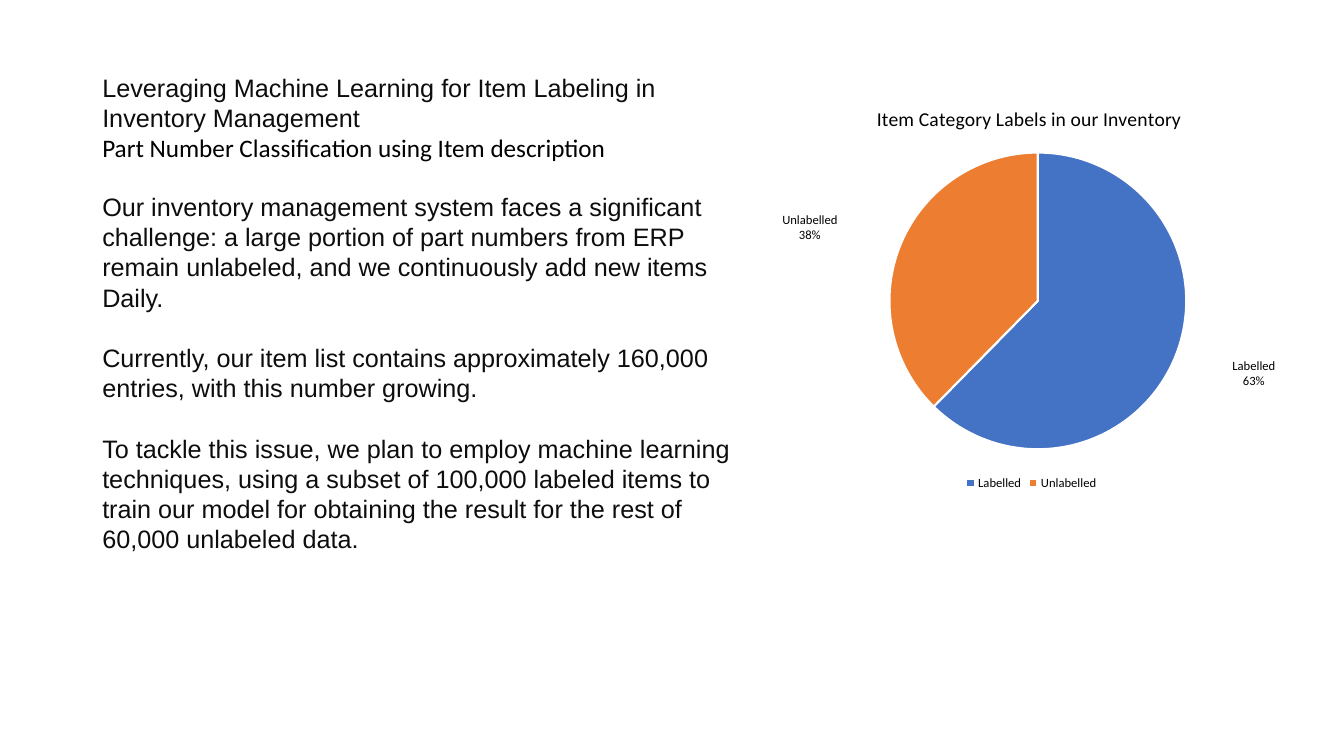
from dataclasses import dataclass

from lxml.etree import SubElement
from pptx import Presentation
from pptx.chart.data import CategoryChartData
from pptx.dml.color import RGBColor
from pptx.enum.chart import XL_CHART_TYPE, XL_LABEL_POSITION, XL_LEGEND_POSITION
from pptx.oxml.ns import qn
from pptx.util import Inches, Pt


@dataclass(frozen=True)
class Theme:
    ink: RGBColor = RGBColor(0x0D, 0x0D, 0x0D)
    black: RGBColor = RGBColor(0, 0, 0)
    white: RGBColor = RGBColor(0xFF, 0xFF, 0xFF)
    blue: RGBColor = RGBColor(0x44, 0x72, 0xC4)
    orange: RGBColor = RGBColor(0xED, 0x7D, 0x31)
    body_font: str = "Arial"
    chart_font: str = "Calibri"
    body_size: Pt = Pt(18)
    title_size: Pt = Pt(14)
    chart_size: Pt = Pt(10)
    label_size: Pt = Pt(9)
    line_height: Pt = Pt(21.6)


@dataclass(frozen=True)
class Area:
    """A rectangle in shares of the width and height around it."""
    left: float
    top: float
    width: float
    height: float


@dataclass(frozen=True)
class Line:
    text: str
    font: str
    color: RGBColor


@dataclass(frozen=True)
class TextBlock:
    area: Area
    lines: tuple[Line, ...]
    gap: Pt


@dataclass(frozen=True)
class Slice:
    name: str
    percent: int
    color: RGBColor
    label_shift: float  # share of the chart's width


THEME = Theme()
SLIDE_WIDTH, SLIDE_HEIGHT = Inches(13.33), Inches(7.5)
TEXT_LEFT, TEXT_WIDTH = 0.0687, 0.5

HEADING = TextBlock(
    Area(TEXT_LEFT, 0.0885, TEXT_WIDTH, 0.135),
    (
        Line("Leveraging Machine Learning for Item Labeling in Inventory Management",
             THEME.body_font, THEME.ink),
        Line("Part Number Classification using Item description",
             THEME.chart_font, THEME.black),
    ),
    Pt(0),
)
BODY = TextBlock(
    Area(TEXT_LEFT, 0.2463, TEXT_WIDTH, 0.499),
    tuple(Line(text, THEME.body_font, THEME.ink) for text in (
        "Our inventory management system faces a significant challenge: a large portion "
        "of part numbers from ERP remain unlabeled, and we continuously add new items Daily.",
        "Currently, our item list contains approximately 160,000 entries, "
        "with this number growing.",
        "To tackle this issue, we plan to employ machine learning techniques, using a "
        "subset of 100,000 labeled items to train our model for obtaining the result "
        "for the rest of 60,000 unlabeled data.",
    )),
    THEME.line_height,
)
CHART_AREA = Area(0.5535, 0.117, 0.428, 0.537)
PIE_AREA = Area(0.253, 0.155, 0.516, 0.737)
CHART_TITLE = "Item Category Labels in our Inventory "
PERCENT_FORMAT = '0"%"'
SLICES = (
    Slice("Labelled", 63, THEME.blue, 0.09),
    Slice("Unlabelled", 38, THEME.orange, -0.1),
)


def place(area: Area) -> tuple[int, int, int, int]:
    return (int(area.left * SLIDE_WIDTH), int(area.top * SLIDE_HEIGHT),
            int(area.width * SLIDE_WIDTH), int(area.height * SLIDE_HEIGHT))


def style(font, name: str, size: Pt, color: RGBColor) -> None:
    font.name, font.size, font.bold = name, size, False
    font.color.rgb = color


def add_text(page, block: TextBlock) -> None:
    frame = page.shapes.add_textbox(*place(block.area)).text_frame
    frame.word_wrap = True
    for index, line in enumerate(block.lines):
        para = frame.add_paragraph() if index else frame.paragraphs[0]
        para.text = line.text
        para.line_spacing = THEME.line_height
        para.space_before = block.gap if index else Pt(0)
        style(para.font, line.font, THEME.body_size, line.color)


def insert_layout(parent, index: int, settings: dict[str, str | float]) -> None:
    """Give the parent element a manual chart layout."""
    layout = SubElement(parent, qn("c:layout"))
    manual = SubElement(layout, qn("c:manualLayout"))
    for tag, value in settings.items():
        SubElement(manual, qn(f"c:{tag}")).set("val", str(value))
    parent.insert(index, layout)


def add_separator(labels) -> None:
    """Put the category and the value on separate lines."""
    separator = SubElement(labels, qn("c:separator"))
    separator.text = "\n"
    labels.find(qn("c:showBubbleSize")).addnext(separator)


def add_label(series, index: int, shift: float) -> None:
    """Show the category and its share, moved sideways from the default place."""
    data_label = series.points[index].data_label
    data_label.position = XL_LABEL_POSITION.OUTSIDE_END
    style(data_label.font, THEME.chart_font, THEME.label_size, THEME.black)
    label = series.data_labels._element.findall(qn("c:dLbl"))[index]
    for tag, shown in (("showVal", "1"), ("showCatName", "1"), ("showPercent", "0")):
        label.find(qn(f"c:{tag}")).set("val", shown)
    insert_layout(label, 1, {"x": shift, "y": 0})
    number_format = SubElement(label, qn("c:numFmt"))
    number_format.set("formatCode", PERCENT_FORMAT)
    number_format.set("sourceLinked", "0")
    label.insert(2, number_format)
    add_separator(label)


def add_pie(page) -> None:
    data = CategoryChartData()
    data.categories = [part.name for part in SLICES]
    data.add_series("Series 1", [part.percent for part in SLICES])
    chart = page.shapes.add_chart(XL_CHART_TYPE.PIE, *place(CHART_AREA), data).chart
    style(chart.font, THEME.chart_font, THEME.chart_size, THEME.black)

    # Title and legend
    chart.has_title = True
    title = chart.chart_title.text_frame.paragraphs[0]
    title.text = CHART_TITLE
    style(title.font, THEME.chart_font, THEME.title_size, THEME.black)
    chart.has_legend = True
    chart.legend.position = XL_LEGEND_POSITION.BOTTOM
    chart.legend.include_in_layout = False
    style(chart.legend.font, THEME.chart_font, THEME.label_size, THEME.black)

    # Labels without leader lines
    plot = chart.plots[0]
    plot.vary_by_categories = True
    series = plot.series[0]
    labels = series.data_labels
    labels.show_value = labels.show_category_name = True
    labels.number_format = PERCENT_FORMAT
    labels.number_format_is_linked = False
    labels.position = XL_LABEL_POSITION.OUTSIDE_END
    style(labels.font, THEME.chart_font, THEME.label_size, THEME.black)
    add_separator(labels._element)
    for leader in labels._element.findall(qn("c:showLeaderLines")):
        labels._element.remove(leader)
    SubElement(labels._element, qn("c:showLeaderLines")).set("val", "0")

    # Slices
    for index, part in enumerate(SLICES):
        look = series.points[index].format
        look.fill.solid()
        look.fill.fore_color.rgb = part.color
        look.line.color.rgb = THEME.white
        look.line.width = Pt(1.5)
        add_label(series, index, part.label_shift)

    # Pie position inside the chart
    area = chart._chartSpace.find(f".//{qn('c:plotArea')}")
    for layout in area.findall(qn("c:layout")):
        area.remove(layout)
    insert_layout(area, 0, {
        "layoutTarget": "inner", "xMode": "edge", "yMode": "edge",
        "x": PIE_AREA.left, "y": PIE_AREA.top, "w": PIE_AREA.width, "h": PIE_AREA.height})


def main() -> None:
    deck = Presentation()
    deck.slide_width, deck.slide_height = SLIDE_WIDTH, SLIDE_HEIGHT
    page = deck.slides.add_slide(deck.slide_layouts[6])
    for block in (HEADING, BODY):
        add_text(page, block)
    add_pie(page)
    deck.save("out.pptx")


if __name__ == "__main__":
    main()
